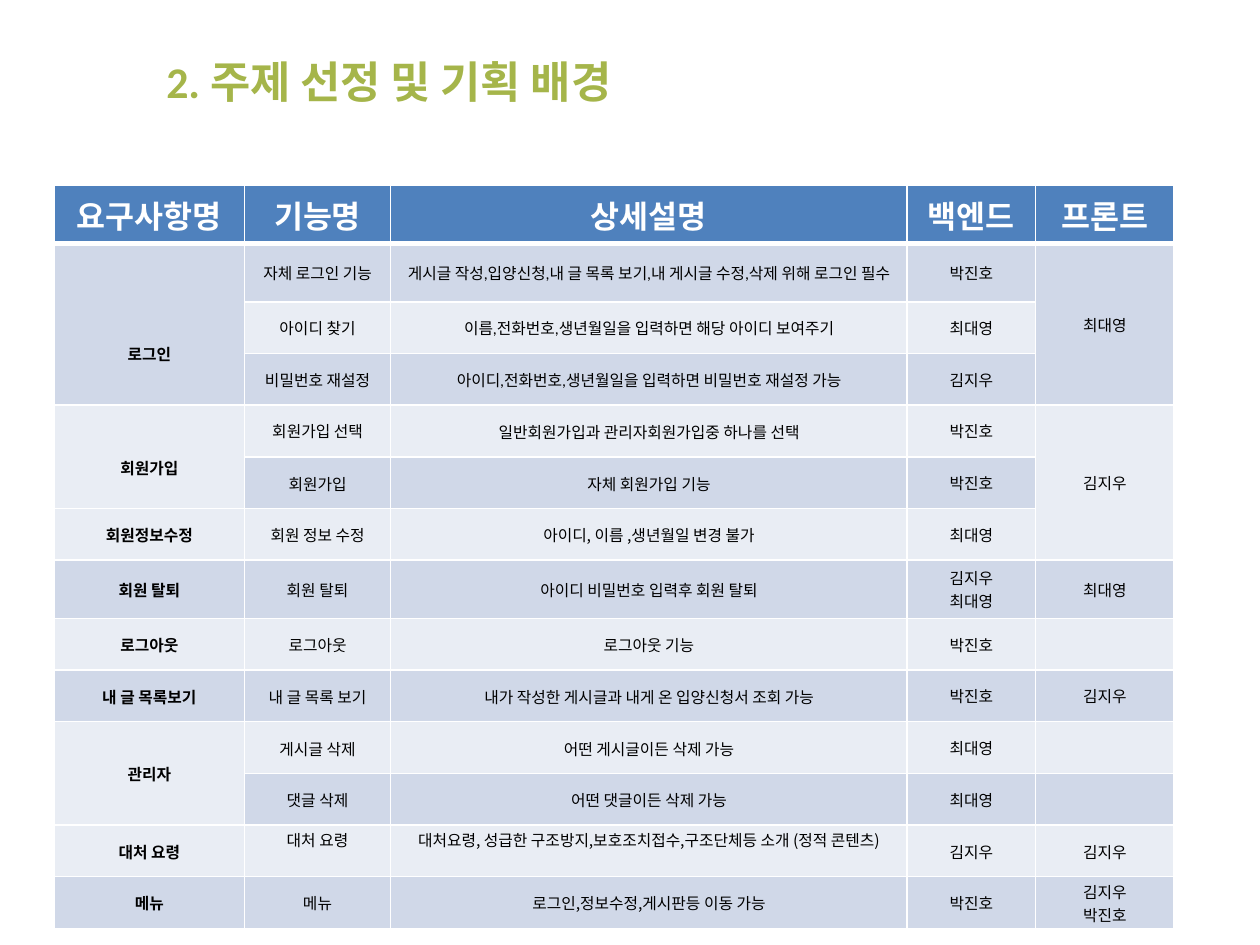
"""Requirements table slide: features, descriptions and owners, on a grid of 1000 columns by 750 rows."""
from dataclasses import dataclass

from lxml import etree
from pptx import Presentation
from pptx.dml.color import RGBColor
from pptx.enum.text import MSO_ANCHOR, PP_ALIGN
from pptx.oxml.ns import qn
from pptx.util import Inches, Pt

CENTER, LEFT, MIDDLE = PP_ALIGN.CENTER, PP_ALIGN.LEFT, MSO_ANCHOR.MIDDLE
COLORS = {"title": "A5B54A", "header": "4F81BD", "dark": "D0D8E8",
          "light": "E9EDF4", "white": "FFFFFF", "black": "000000"}
LATIN, KOREAN = "Calibri", "Noto Sans CJK KR"
UNIT = Inches(0.01)
COLS = (151, 116, 410, 102, 110)
HEADER_ROW, BODY_ROW = 33, 41
HEADERS = ("요구사항명", "기능명", "상세설명", "백엔드", "프론트")


@dataclass
class Feature:
    name: str
    function: str
    detail: str
    back: str
    front: str
    tight: range = range(0, 3)

    def texts(self) -> tuple:
        return self.name, self.function, self.detail, self.back, self.front


FEATURES = (
    Feature("로그인", "자체 로그인 기능",
            "게시글 작성,입양신청,내 글 목록 보기,내 게시글 수정,삭제 위해 로그인 필수",
            "박진호", "최대영", range(0)),
    Feature("", "아이디 찾기", "이름,전화번호,생년월일을 입력하면 해당 아이디 보여주기",
            "최대영", "", range(0)),
    Feature("", "비밀번호 재설정", "아이디,전화번호,생년월일을 입력하면 비밀번호 재설정 가능",
            "김지우", "", range(0)),
    Feature("회원가입", "회원가입 선택", "일반회원가입과 관리자회원가입중 하나를 선택",
            "박진호", "김지우", range(2, 3)),
    Feature("", "회원가입", "자체 회원가입 기능", "박진호", ""),
    Feature("회원정보수정", "회원 정보 수정", "아이디, 이름 ,생년월일 변경 불가", "최대영", ""),
    Feature("회원 탈퇴", "회원 탈퇴", "아이디 비밀번호 입력후 회원 탈퇴", "김지우\n최대영", "최대영"),
    Feature("로그아웃", "로그아웃", "로그아웃 기능", "박진호", ""),
    Feature("내 글 목록보기", "내 글 목록 보기",
            "내가 작성한 게시글과 내게 온 입양신청서 조회 가능", "박진호", "김지우"),
    Feature("관리자", "게시글 삭제", "어떤 게시글이든 삭제 가능", "최대영", ""),
    Feature("", "댓글 삭제", "어떤 댓글이든 삭제 가능", "최대영", ""),
    Feature("대처 요령", "대처 요령",
            "대처요령, 성급한 구조방지,보호조치접수,구조단체등 소개 (정적 콘텐츠)",
            "김지우", "김지우", range(5)),
    Feature("메뉴", "메뉴", "로그인,정보수정,게시판등 이동 가능",
            "박진호", "김지우\n박진호", range(5)),
)
SPANS = {(1, 0): 3, (1, 4): 3, (4, 0): 2, (4, 4): 3, (10, 0): 2}
OFFSETS = {(1, 0): {"margin_top": 51}, (4, 0): {"margin_top": 23},
           (12, 1): {"margin_bottom": 18}, (12, 2): {"margin_bottom": 18}}
TIGHT = {"margin_left": 1, "margin_top": 1, "margin_right": 1, "margin_bottom": 0}


def write(tf, text: str, color: str, align, **font) -> None:
    """Fill a text frame with one formatted paragraph per line."""
    for i, line in enumerate(text.split("\n")):
        p = tf.paragraphs[0] if i == 0 else tf.add_paragraph()
        p.alignment = align
        r = p.add_run()
        r.text = line
        r.font.color.rgb = RGBColor.from_string(COLORS[color])
        for key, value in font.items():
            setattr(r.font, key, value)
        etree.SubElement(r.font._element, qn("a:ea"), typeface=KOREAN)


def set_borders(cell, **points: int) -> None:
    """Draw white borders on the four sides of a cell."""
    tc_pr = cell._tc.get_or_add_tcPr()
    for i, side in enumerate("LRTB"):
        ln = etree.Element(qn(f"a:ln{side}"), w=str(Pt(points.get(side, 1))))
        fill = etree.SubElement(ln, qn("a:solidFill"))
        etree.SubElement(fill, qn("a:srgbClr"), val=COLORS["white"])
        tc_pr.insert(i, ln)


def style_cell(cell, fill: str, margins: dict, **borders: int) -> None:
    """Set the fill, anchor, margins and borders of a cell."""
    cell.fill.solid()
    cell.fill.fore_color.rgb = RGBColor.from_string(COLORS[fill])
    cell.vertical_anchor = MIDDLE
    for key, value in margins.items():
        setattr(cell, key, value * UNIT)
    set_borders(cell, **borders)


def add_title(s, text: str) -> None:
    """Place and format the slide title."""
    sp = s.shapes.title
    box = {"left": 122, "top": 25, "width": 828, "height": 79}
    for key, value in box.items():
        setattr(sp, key, value * UNIT)
    sp.text_frame.vertical_anchor = MIDDLE
    write(sp.text_frame, text, "title", LEFT, size=Pt(25), name=LATIN, bold=True)


def add_features(s) -> None:
    """Build the table of features with its merged cells."""
    height = HEADER_ROW + BODY_ROW * len(FEATURES)
    table = s.shapes.add_table(len(FEATURES) + 1, len(COLS), 43 * UNIT, 147 * UNIT,
                               sum(COLS) * UNIT, height * UNIT).table
    for column, width in zip(table.columns, COLS):
        column.width = width * UNIT
    for i, row in enumerate(table.rows):
        row.height = (BODY_ROW if i else HEADER_ROW) * UNIT
    for (row, col), span in SPANS.items():
        table.cell(row, col).merge(table.cell(row + span - 1, col))
    for col, text in enumerate(HEADERS):
        cell = table.cell(0, col)
        style_cell(cell, "header", {}, B=3)
        write(cell.text_frame, text, "white", CENTER, size=Pt(18), name=LATIN, bold=True)
    for row, feature in enumerate(FEATURES, 1):
        for col, text in enumerate(feature.texts()):
            cell, tight = table.cell(row, col), col in feature.tight
            margins = (TIGHT if tight else {}) | OFFSETS.get((row, col), {})
            style_cell(cell, "dark" if row % 2 else "light", margins, T=3 if row == 1 else 1)
            if text:
                write(cell.text_frame, text, "black", CENTER, size=Pt(9),
                      name=KOREAN if tight else LATIN, bold=col == 0)


def main() -> None:
    """Create the slide and save it."""
    prs = Presentation()
    prs.slide_width, prs.slide_height = 1000 * UNIT, 750 * UNIT
    s = prs.slides.add_slide(prs.slide_layouts[5])
    add_title(s, "2. 주제 선정 및 기획 배경")
    add_features(s)
    prs.save("out.pptx")


if __name__ == "__main__":
    main()
